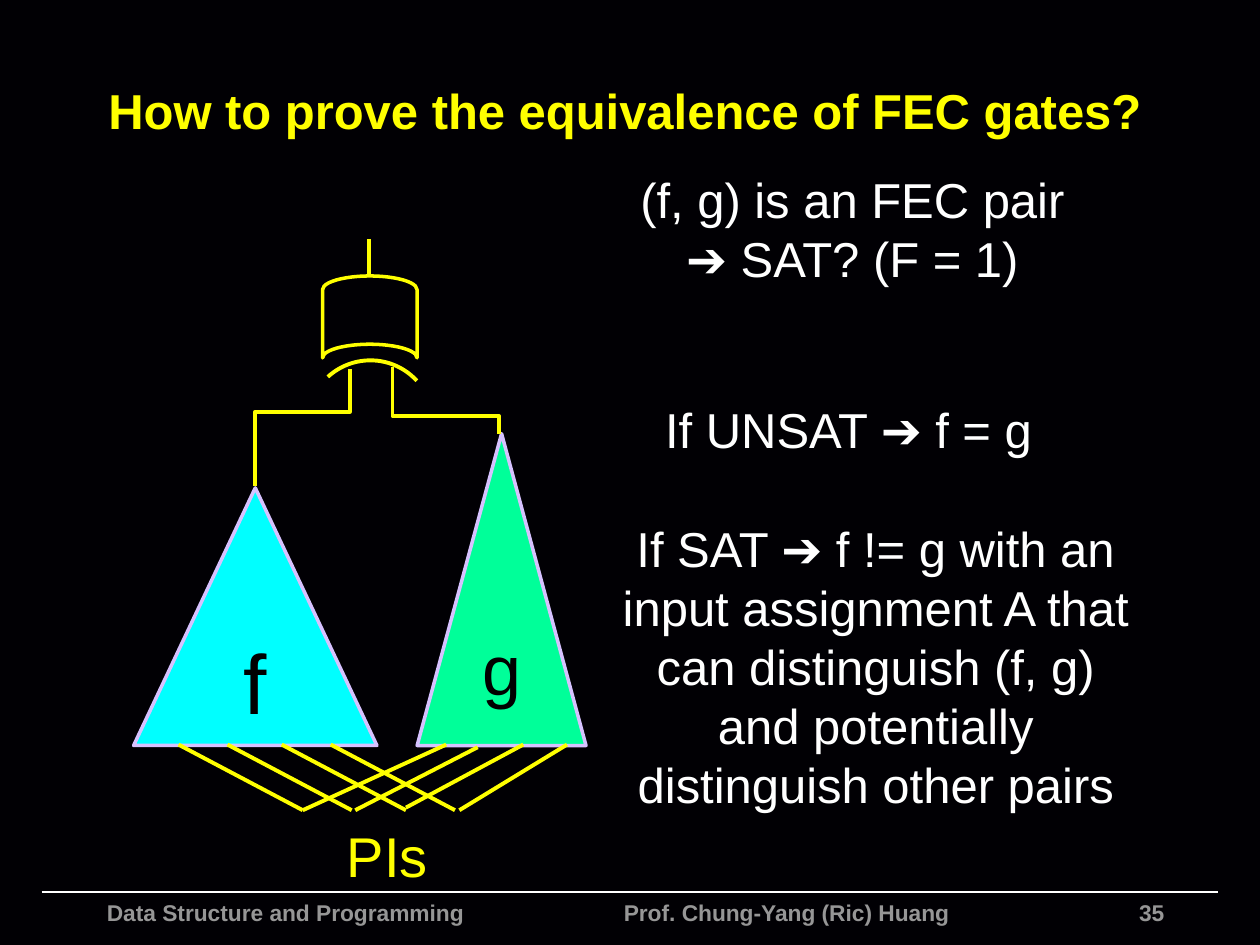
from pptx import Presentation
from pptx.dml.color import RGBColor
from pptx.enum.shapes import MSO_CONNECTOR, MSO_SHAPE
from pptx.enum.text import MSO_ANCHOR, PP_ALIGN
from pptx.oxml.ns import qn
from pptx.util import Pt
from lxml import etree

LEFT, CENTER, RIGHT = PP_ALIGN.LEFT, PP_ALIGN.CENTER, PP_ALIGN.RIGHT
TOP, MIDDLE = MSO_ANCHOR.TOP, MSO_ANCHOR.MIDDLE
TRIANGLE, ARC = MSO_SHAPE.ISOSCELES_TRIANGLE, MSO_SHAPE.ARC
GATE = MSO_SHAPE.FLOWCHART_STORED_DATA
STRAIGHT = MSO_CONNECTOR.STRAIGHT

YELLOW, WHITE, BLACK, GREY, LILAC = "FFFF00", "FFFFFF", "000000", "969696", "D6C2FF"

# Content: text, (left, top, width, height), further format
TITLE = "How to prove the equivalence of FEC gates?"
NOTES = [
    ("PIs", (190.8, 465.8, 61.2, 46.1), dict(size=32, color=YELLOW, wrap=False)),
    ("If UNSAT ➔ f = g", (368.6, 224.6, 232.6, 41), dict(wrap=False)),
    ("If SAT ➔ f != g with an input assignment A that can distinguish (f, g) "
     "and potentially distinguish other pairs", (345.6, 293, 309.6, 177.1), {}),
    ("(f, g) is an FEC pair\n➔ SAT? (F = 1)", (357.1, 93.6, 259.9, 74.9), dict(wrap=False)),
]
FOOTER = "Data Structure and Programming\tProf. Chung-Yang (Ric) Huang"
PAGE = "35"
CONES = [
    ("f", (76.4, 278.8, 139, 147.2), "00FFFF", 48),
    ("g", (238.4, 247.8, 96.5, 178.2), "00FF99", 40),
]
GATE_WIRES = [
    [(145.6, 278), (145.6, 235.4), (200, 235.4), (200, 211)],
    [(285.2, 247.8), (285.2, 237.8), (224.2, 237.8), (224.2, 210)],
]
# Each input: x at the base of f, x at the base of g, shared x below, y at g, y below g
INPUTS = [
    (102, 255, 173, 425.5, 463),
    (130, 273, 203, 427, 463),
    (161, 299, 232, 425.5, 461.5),
    (189, 324, 262.5, 425.5, 463),
]
INPUT_TOP, INPUT_BOTTOM, INPUT_RUN = 425.5, 463, 71


def rgb(value):
    return RGBColor.from_string(value)


def put_text(shape, text, size=28, color=WHITE, bold=False, align=CENTER,
             anchor=TOP, wrap=True, inset=(7.2, 3.6)):
    frame = shape.text_frame
    frame.word_wrap = wrap
    frame.vertical_anchor = anchor
    frame.margin_left = frame.margin_right = Pt(inset[0])
    frame.margin_top = frame.margin_bottom = Pt(inset[1])
    frame.text = text
    for paragraph in frame.paragraphs:
        paragraph.alignment = align
        for run in paragraph.runs:
            run.font.name = "Arial"
            run.font.size = Pt(size)
            run.font.bold = bold
            run.font.color.rgb = rgb(color)


def add_text(text, box, **style):
    shape = slide.shapes.add_textbox(*map(Pt, box))
    put_text(shape, text, **style)
    return shape


def outline(shape, color=YELLOW, width=2, fill=None):
    shape.shadow.inherit = False
    shape.line.color.rgb = rgb(color)
    shape.line.width = Pt(width)
    if fill:
        shape.fill.solid()
        shape.fill.fore_color.rgb = rgb(fill)
    else:
        shape.fill.background()


def add_line(start, end, color=YELLOW, width=2.25):
    line = slide.shapes.add_connector(STRAIGHT, *map(Pt, (*start, *end)))
    line.line.color.rgb = rgb(color)
    line.line.width = Pt(width)
    etree.SubElement(line._element.spPr, qn("a:effectLst"))


deck = Presentation()
deck.slide_width, deck.slide_height = Pt(720), Pt(540)
slide = deck.slides.add_slide(deck.slide_layouts[5])
slide.background.fill.solid()
slide.background.fill.fore_color.rgb = rgb("010004")

# Footer
add_line((23.8, 509.8), (696.2, 509.8), color=WHITE, width=1)
footer_style = dict(size=13, color=GREY, bold=True)
add_text(PAGE, (444.2, 509.8, 228.2, 13), align=RIGHT, **footer_style)
footer = add_text(FOOTER, (54, 509.8, 521.3, 30.2), align=LEFT, **footer_style)
tabs = etree.SubElement(footer.text_frame.paragraphs[0]._p.get_or_add_pPr(), qn("a:tabLst"))
etree.SubElement(tabs, qn("a:tab"), pos=str(Pt(295.4)), algn="l")

# Title
title = slide.shapes.title
title.left, title.top, title.width, title.height = map(Pt, (54.7, 26.6, 636.5, 72.7))
put_text(title, TITLE, color=YELLOW, bold=True, align=LEFT, anchor=MIDDLE)

# Logic cones
for label, box, fill, size in CONES:
    cone = slide.shapes.add_shape(TRIANGLE, *map(Pt, box))
    outline(cone, LILAC, fill=fill)
    put_text(cone, label, size=size, color=BLACK, anchor=MIDDLE, inset=(3.6, 3.6))

# XOR gate with its wires
for kind, box, turn, width in [(GATE, (187.9, 154.1, 46.8, 54), 90, 2),
                               (ARC, (175.7, 205.9, 72, 72), 317.5, 2.25)]:
    part = slide.shapes.add_shape(kind, *map(Pt, box))
    part.rotation = turn
    outline(part, width=width)
for points in GATE_WIRES:
    start, *rest = [(Pt(x), Pt(y)) for x, y in points]
    wire = slide.shapes.build_freeform(*start)
    wire.add_line_segments(rest, close=False)
    outline(wire.convert_to_shape())
add_line((211, 157.7), (211, 136.8))

# Shared primary inputs
for f_x, g_x, shared_x, g_top, g_bottom in INPUTS:
    add_line((f_x, INPUT_TOP), (f_x + INPUT_RUN, INPUT_BOTTOM))
    add_line((g_x, g_top), (shared_x, g_bottom))

# Explanations
for text, box, style in NOTES:
    add_text(text, box, **style)

deck.save("out.pptx")
